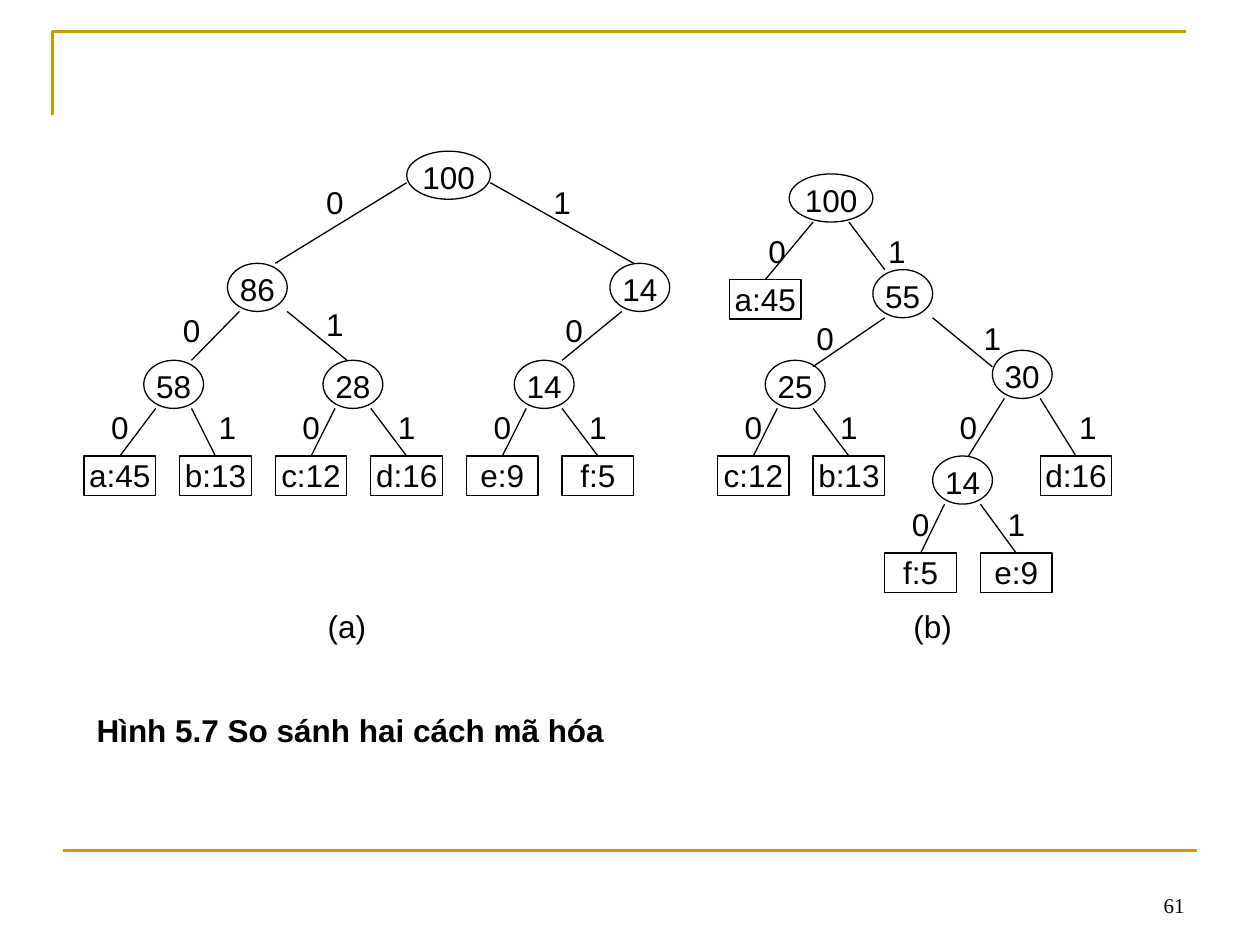
"""Build a slide comparing two binary coding trees."""
import pptx
import pptx.chart.data
import pptx.dml.color
import pptx.enum.shapes
import pptx.enum.text
import pptx.oxml
import pptx.util

Pt = pptx.util.Pt
ALIGN = pptx.enum.text.PP_ALIGN
ANCHOR = pptx.enum.text.MSO_ANCHOR
SHAPE = pptx.enum.shapes.MSO_SHAPE
STRAIGHT = pptx.enum.shapes.MSO_CONNECTOR.STRAIGHT

COLORS = {"ink": "000000", "paper": "FFFFFF", "rule": "CC9900"}
CAPTION = "Hình 5.7 So sánh hai cách mã hóa"
PAGE_NUMBER = "61"
ORIGIN, STEP = 48, 6.83
NODE_HEIGHT, LEAF_HEIGHT = 27.5, 22.5
ROOT_STEPS, INNER_STEPS, LEAF_STEPS, LABEL_STEPS = 7, 5, 6, 4

# fmt: off
TREES = [
    {
        "label": ("(a)", 20, 347),
        "nodes": {
            "root": ("100", 27, 86.4), "86": ("86", 12, 150.5), "14 top": ("14", 44, 150.5),
            "58": ("58", 5, 205.9), "28": ("28", 20, 205.9), "14": ("14", 36, 205.9),
        },
        "leaves": {
            "a:45": (0, 260.6), "b:13": (8, 260.6), "c:12": (16, 260.6),
            "d:16": (24, 260.6), "e:9": (32, 260.6), "f:5": (40, 260.6),
        },
        "branches": [
            ("root", (0, 18), "86", (4, 0), "0", (19, 104.4)),
            ("root", (7, 18), "14 top", (2, 0), "1", (38, 104.4)),
            ("86", (1, NODE_HEIGHT), "58", (4, 0), "0", (7, 178)),
            ("86", (5, NODE_HEIGHT), "28", (2, 0), "1", (19, 174.2)),
            ("14 top", (1, NODE_HEIGHT), "14", (4, 0), "0", (39, 178)),
            ("58", (1, NODE_HEIGHT), "a:45", None, "0", (1, 233.3)),
            ("58", (4, NODE_HEIGHT), "b:13", None, "1", (10, 233.3)),
            ("28", (1, NODE_HEIGHT), "c:12", None, "0", (17, 233.3)),
            ("28", (4, NODE_HEIGHT), "d:16", None, "1", (25, 233.3)),
            ("14", (1, NODE_HEIGHT), "e:9", None, "0", (33, 233.3)),
            ("14", (4, NODE_HEIGHT), "f:5", None, "1", (41, 233.3)),
        ],
    },
    {
        "label": ("(b)", 69, 347),
        "nodes": {
            "root": ("100", 59, 99.4), "55": ("55", 66, 154.1), "25": ("25", 57, 205.9),
            "30": ("30", 76, 200.2), "14": ("14", 71, 260.6),
        },
        "leaves": {
            "a:45": (54, 159.8), "c:12": (53, 260.6), "b:13": (61, 260.6),
            "d:16": (80, 260.6), "f:5": (67, 316.1), "e:9": (75, 316.1),
        },
        "branches": [
            ("root", (2, NODE_HEIGHT), "a:45", None, "0", (56, 132.5)),
            ("root", (5, NODE_HEIGHT), "55", (1, 0), "1", (66, 132.5)),
            ("55", (1, NODE_HEIGHT), "25", (4, 3.6), "0", (60, 182.2)),
            ("55", (5, NODE_HEIGHT), "30", (0, 9.4), "1", (74, 182.2)),
            ("25", (1, NODE_HEIGHT), "c:12", None, "0", (54, 233.3)),
            ("25", (4, NODE_HEIGHT), "b:13", None, "1", (62, 233.3)),
            ("30", (1, NODE_HEIGHT), "14", (3, 0), "0", (72, 233.3)),
            ("30", (4, NODE_HEIGHT), "d:16", None, "1", (82, 233.3)),
            ("14", (1, NODE_HEIGHT), "f:5", None, "0", (68, 288.7)),
            ("14", (4, NODE_HEIGHT), "e:9", None, "1", (76, 288.7)),
        ],
    },
]
# fmt: on


def rgb(name):
    return pptx.dml.color.RGBColor.from_string(COLORS[name])


def write(shape, text, align=ALIGN.CENTER, anchor=ANCHOR.TOP, inset=(0, 0), **font_values):
    frame = shape.text_frame
    frame.text = text
    across, down = map(Pt, inset)
    frame_values = {
        "word_wrap": True, "auto_size": pptx.enum.text.MSO_AUTO_SIZE.NONE,
        "vertical_anchor": anchor, "margin_left": across, "margin_right": across,
        "margin_top": down, "margin_bottom": down,
    }
    for key, value in frame_values.items():
        setattr(frame, key, value)
    paragraph = frame.paragraphs[0]
    paragraph.alignment = align
    font = paragraph.runs[0].font
    for key, value in ({"name": "Arial", "size": Pt(18)} | font_values).items():
        setattr(font, key, value)
    font.color.rgb = rgb("ink")


def outline(shape, color="ink", width=0.75):
    shape.line.color.rgb = rgb(color)
    shape.line.width = Pt(width)


def add_line(slide, start, end, color="ink", width=0.75):
    line = slide.shapes.add_connector(STRAIGHT, *map(Pt, (*start, *end)))
    outline(line, color, width)
    properties = line._element.spPr
    properties.append(properties.makeelement(pptx.oxml.ns.qn("a:effectLst"), {}))
    return line


def add_node(slide, kind, text, column, top, steps, height):
    node = slide.shapes.add_shape(
        kind, Pt(ORIGIN + column * STEP), Pt(top), Pt(steps * STEP), Pt(height))
    node.shadow.inherit = False
    node.fill.solid()
    node.fill.fore_color.rgb = rgb("paper")
    outline(node)
    write(node, text)
    return node


def add_label(slide, text, column, top):
    label = slide.shapes.add_textbox(
        Pt(ORIGIN + column * STEP), Pt(top), Pt(LABEL_STEPS * STEP), Pt(LEAF_HEIGHT))
    write(label, text)


def point_on(node, offset):
    steps, down = offset
    return node.left.pt + steps * STEP, node.top.pt + down


def add_tree(slide, tree):
    placed = {}
    for key, (text, column, top) in tree["nodes"].items():
        steps = ROOT_STEPS if key == "root" else INNER_STEPS
        placed[key] = add_node(slide, SHAPE.OVAL, text, column, top, steps, NODE_HEIGHT)
    for text, (column, top) in tree["leaves"].items():
        placed[text] = add_node(
            slide, SHAPE.RECTANGLE, text, column, top, LEAF_STEPS, LEAF_HEIGHT)
    for parent, start, child, end, bit, bit_place in tree["branches"]:
        branch = add_line(slide, point_on(placed[parent], start),
                          point_on(placed[child], end or (LEAF_STEPS / 2, 0)))
        if child in tree["leaves"]:
            branch.end_connect(placed[child], 0)
        add_label(slide, bit, *bit_place)
    add_label(slide, *tree["label"])


def main():
    deck = pptx.Presentation()
    deck.slide_width, deck.slide_height = Pt(720), Pt(540)
    slide = deck.slides.add_slide(deck.slide_layouts[5])

    builder = slide.shapes.build_freeform(Pt(30), Pt(66))
    builder.add_line_segments([(Pt(30), Pt(18)), (Pt(678), Pt(18))], close=False)
    corner = builder.convert_to_shape()
    corner.shadow.inherit = False
    corner.fill.background()
    outline(corner, "rule", 1.5)
    add_line(slide, (36, 486), (684, 486), "rule", 1.5)

    for tree in TREES:
        add_tree(slide, tree)

    caption = slide.shapes.title
    place = {"left": 48, "top": 402.5, "width": 594, "height": 137.5}
    for key, value in place.items():
        setattr(caption, key, Pt(value))
    write(caption, CAPTION, ALIGN.JUSTIFY, inset=(7.2, 3.6), bold=True)

    page_number = slide.shapes.add_textbox(Pt(516), Pt(492), Pt(168), Pt(36))
    write(page_number, PAGE_NUMBER, ALIGN.RIGHT, ANCHOR.BOTTOM, (7.2, 3.6),
          name="Times New Roman", size=Pt(12))
    deck.save("out.pptx")


if __name__ == "__main__":
    main()
